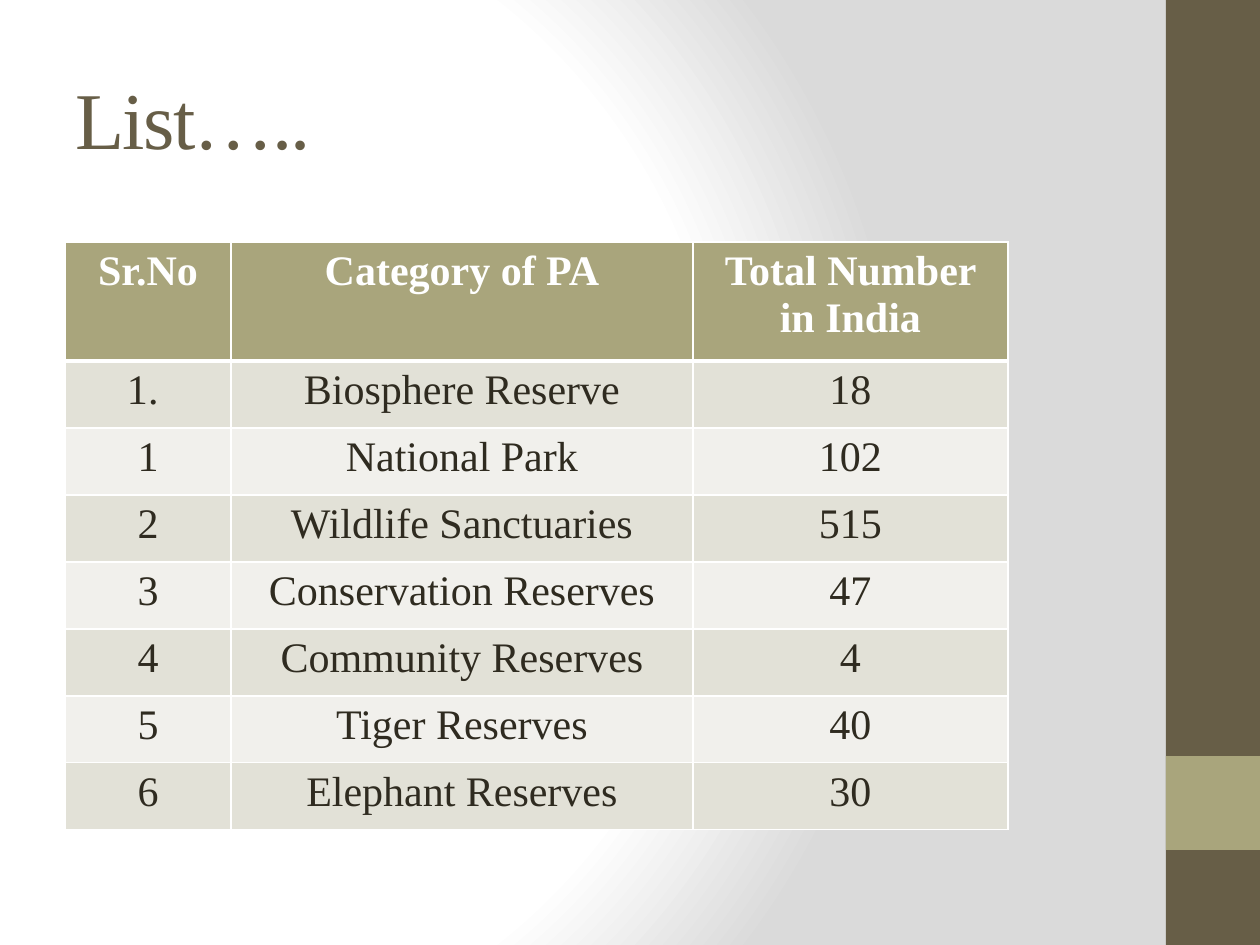
import pptx
import pptx.dml.color
import pptx.enum.shapes
import pptx.enum.text
import pptx.oxml
import pptx.oxml.ns
import pptx.util

EMU_PER_PX = 914400 // 126
FONT = "Times New Roman"
COLORS = {
    "brown": "675E47",
    "olive": "A9A57C",
    "ink": "2F2B20",
    "white": "FFFFFF",
    "grey": "DADADA",
    "odd": "E2E1D7",
    "even": "F1F0EC",
}
FORMATS = {
    "title": {"size": 46, "bold": False, "color": "brown"},
    "header": {"size": 24, "bold": True, "color": "white"},
    "body": {"size": 24, "bold": False, "color": "ink"},
}
ROWS = [
    ("Sr.No", "Category of PA", "Total Number in India"),
    ("1. ", "Biosphere Reserve", "18"),
    ("1", "National Park", "102"),
    ("2", "Wildlife Sanctuaries", "515"),
    ("3", "Conservation Reserves", "47"),
    ("4", "Community Reserves", "4"),
    ("5", "Tiger Reserves", "40"),
    ("6", "Elephant Reserves", "30"),
]
ALIGN = pptx.enum.text.PP_ALIGN


def px(n):
    return pptx.util.Emu(n * EMU_PER_PX)


def rgb(name):
    return pptx.dml.color.RGBColor.from_string(COLORS[name])


class Deck:
    """Holds the style and the current slide."""

    def __init__(self, prs):
        self.s = prs.slides.add_slide(prs.slide_layouts[5])

    def background(self, stops):
        gs = "".join(
            f'<a:gs pos="{pos * 1000}"><a:srgbClr val="{COLORS[c]}"/></a:gs>'
            for pos, c in stops)
        ns = pptx.oxml.ns.nsdecls("p", "a")
        self.s.element.cSld.insert(0, pptx.oxml.parse_xml(
            f'<p:bg {ns}><p:bgPr><a:gradFill rotWithShape="1"><a:gsLst>{gs}</a:gsLst>'
            '<a:path path="circle"><a:fillToRect l="20000" t="50000" r="100000" b="50000"/>'
            '</a:path></a:gradFill><a:effectLst/></p:bgPr></p:bg>'))

    def text(self, tf, words, style, align):
        p = tf.paragraphs[0]
        p.alignment = align
        r = p.add_run()
        r.text = words
        fmt = FORMATS[style]
        values = {"name": FONT, "size": pptx.util.Pt(fmt["size"]), "bold": fmt["bold"]}
        for key, value in values.items():
            setattr(r.font, key, value)
        r.font.color.rgb = rgb(fmt["color"])
        return r

    def rect(self, x, y, w, h, color):
        sp = self.s.shapes.add_shape(
            pptx.enum.shapes.MSO_SHAPE.RECTANGLE, px(x), px(y), px(w), px(h))
        sp.shadow.inherit = False
        sp.fill.solid()
        sp.fill.fore_color.rgb = rgb(color)
        sp.line.fill.background()

    def title(self, x, y, w, h, words):
        sp = self.s.shapes.title
        sp.left, sp.top, sp.width, sp.height = px(x), px(y), px(w), px(h)
        tf = sp.text_frame
        tf.vertical_anchor = pptx.enum.text.MSO_ANCHOR.MIDDLE
        r = self.text(tf, words, "title", ALIGN.LEFT)
        r.font._element.set("spc", "-100")

    def borders(self, cell, top, bottom):
        tcPr = cell._tc.get_or_add_tcPr()
        ns = pptx.oxml.ns.nsdecls("a")
        widths = {"lnL": 1, "lnR": 1, "lnT": top, "lnB": bottom}
        # Border lines come before the fill
        for i, (tag, pt) in enumerate(widths.items()):
            tcPr.insert(i, pptx.oxml.parse_xml(
                f'<a:{tag} {ns} w="{pptx.util.Pt(pt)}"><a:solidFill>'
                f'<a:srgbClr val="{COLORS["white"]}"/></a:solidFill></a:{tag}>'))

    def table(self, x, y, widths, heights, rows):
        frame = self.s.shapes.add_table(
            len(rows), len(widths), px(x), px(y), px(sum(widths)), px(sum(heights)))
        tbl = frame.table
        for col, w in zip(tbl.columns, widths):
            col.width = px(w)
        for i, (row, h) in enumerate(zip(rows, heights)):
            tbl.rows[i].height = px(h)
            fill = "olive" if i == 0 else "odd" if i % 2 else "even"
            for j, words in enumerate(row):
                cell = tbl.cell(i, j)
                cell.fill.solid()
                cell.fill.fore_color.rgb = rgb(fill)
                self.text(cell.text_frame, words, "body" if i else "header", ALIGN.CENTER)
                # Thick rule between header and body
                self.borders(cell, 3 if i == 1 else 1, 3 if i == 0 else 1)


def main():
    prs = pptx.Presentation()
    prs.slide_width, prs.slide_height = pptx.util.Inches(10), pptx.util.Inches(7.5)
    deck = Deck(prs)

    # Backdrop and side band
    deck.background([(0, "white"), (75, "white"), (100, "grey")])
    deck.rect(1166, 0, 94, 945, "brown")
    deck.rect(1166, 756, 94, 94, "olive")

    # Title and table
    deck.title(63, 38, 1050, 158, "List…..")
    deck.table(65, 242, [166, 462, 315], [119] + [67] * 7, ROWS)

    prs.save("out.pptx")


if __name__ == "__main__":
    main()
